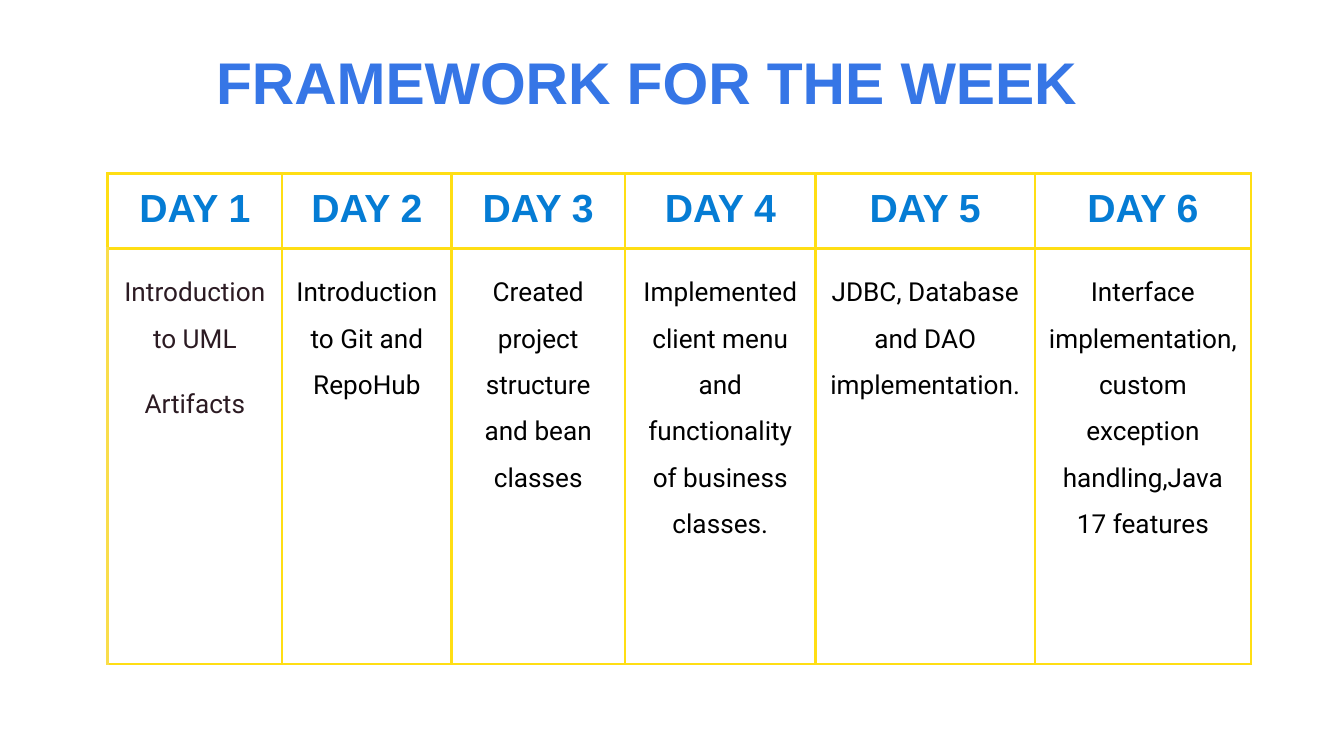
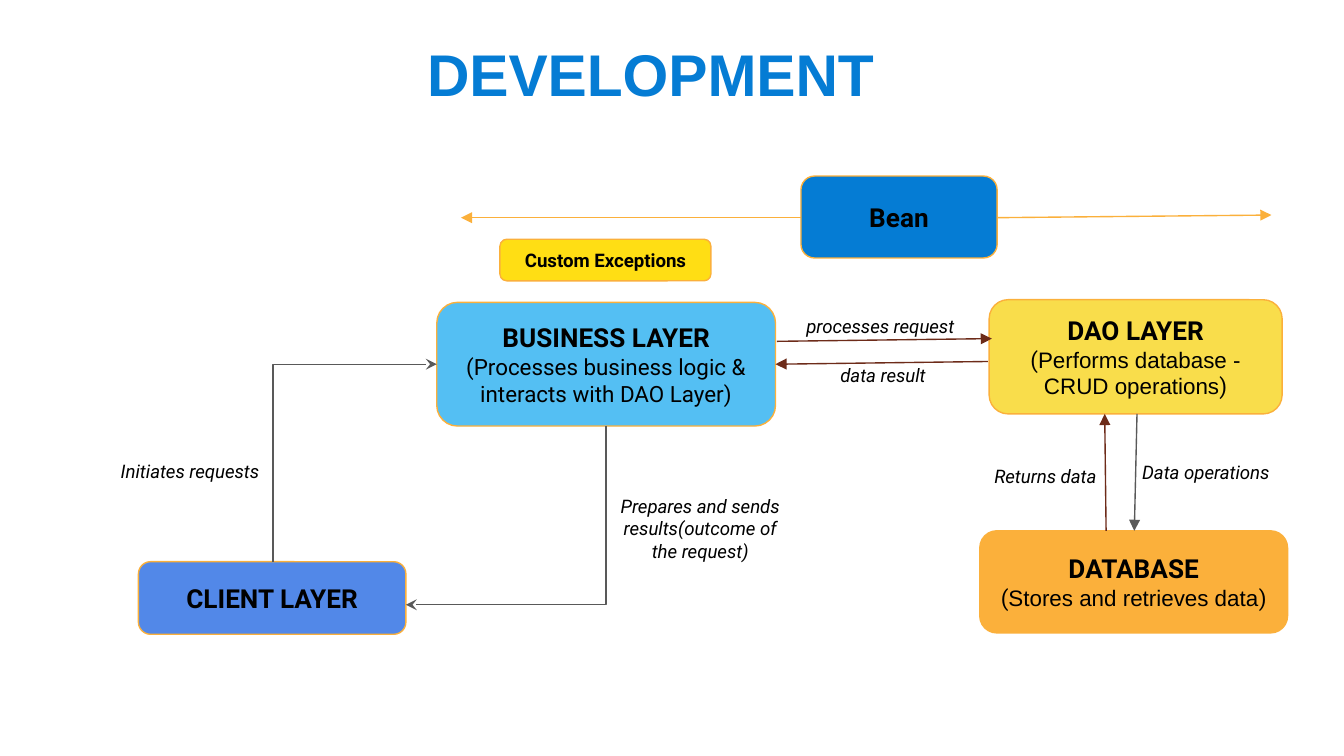
from lxml import etree
from pptx import Presentation
from pptx.dml.color import RGBColor
from pptx.enum.shapes import MSO_CONNECTOR, MSO_SHAPE
from pptx.enum.text import MSO_ANCHOR, MSO_AUTO_SIZE, PP_ALIGN
from pptx.oxml.ns import qn
from pptx.util import Inches, Pt

STRAIGHT, ELBOW = MSO_CONNECTOR.STRAIGHT, MSO_CONNECTOR.ELBOW
ROUNDED = MSO_SHAPE.ROUNDED_RECTANGLE
TOP, MIDDLE = MSO_ANCHOR.TOP, MSO_ANCHOR.MIDDLE
LEFT, CENTER = PP_ALIGN.LEFT, PP_ALIGN.CENTER
NO_AUTOFIT = MSO_AUTO_SIZE.NONE

BLACK = RGBColor(0x00, 0x00, 0x00)
PLUM = RGBColor(0x2C, 0x1B, 0x23)
GRAY = RGBColor(0x59, 0x59, 0x59)
BROWN = RGBColor(0x6D, 0x2B, 0x19)
ROYAL = RGBColor(0x36, 0x76, 0xE6)
BLUE = RGBColor(0x05, 0x7C, 0xD4)
PERIWINKLE = RGBColor(0x52, 0x88, 0xE8)
SKY = RGBColor(0x54, 0xBF, 0xF3)
ORANGE = RGBColor(0xFB, 0xB0, 0x3B)
YELLOW = RGBColor(0xFF, 0xDE, 0x14)
PALE_YELLOW = RGBColor(0xF9, 0xDD, 0x4B)

HEADING_FONT, BODY_FONT = "Arial", "Roboto"
TITLE_ONLY = 5
SLIDE_WIDTH = 10
SLIDE_HEIGHT = SLIDE_WIDTH * 9 / 16

DAYS = [
    (1.30, ["Introduction to UML", "Artifacts"]),
    (1.26, ["Introduction to Git and RepoHub"]),
    (1.29, ["Created project structure and bean classes"]),
    (1.42, ["Implemented client menu and functionality of business classes."]),
    (1.63, ["JDBC, Database and DAO implementation."]),
    (1.61, ["Interface implementation,custom exception handling,Java 17 features"]),
]

# Box, fill, heading size, heading, detail runs as (text, font)
LAYERS = [
    ((1.03, 4.18, 1.99, 0.54), PERIWINKLE, 14, "CLIENT LAYER", []),
    ((3.25, 2.25, 2.52, 0.92), SKY, 14, "BUSINESS LAYER",
     [("(Processes business logic & interacts with DAO Layer)", BODY_FONT)]),
    ((7.36, 2.23, 2.18, 0.85), PALE_YELLOW, 14, "DAO LAYER",
     [("(", BODY_FONT), ("Performs database - CRUD operations", HEADING_FONT),
      (")", BODY_FONT)]),
    ((7.29, 3.95, 2.29, 0.76), ORANGE, 14, "DATABASE",
     [("(", BODY_FONT), ("Stores and retrieves data", HEADING_FONT),
      (")", BODY_FONT)]),
    ((5.96, 1.31, 1.46, 0.61), BLUE, 14, "Bean", []),
    ((3.72, 1.78, 1.57, 0.31), YELLOW, 10, "Custom Exceptions", []),
]

ARROWS = [
    ((5.78, 2.54), (7.38, 2.52), BROWN),
    ((7.35, 2.69), (5.77, 2.71), BROWN),
    ((5.96, 1.62), (3.43, 1.62), ORANGE),
    ((7.42, 1.62), (9.46, 1.60), ORANGE),
    ((8.46, 3.08), (8.44, 3.95), GRAY),
    ((8.23, 3.95), (8.22, 3.08), BROWN),
]

BENT_ARROWS = [
    ((2.03, 4.18), (3.25, 2.71)),
    ((4.51, 3.17), (3.02, 4.50)),
]

FLOW_LABELS = [
    ((0.80, 3.32, 1.31, 0.37), "Initiates requests", LEFT),
    ((6.07, 2.61, 1.00, 0.37), "data result", CENTER),
    ((5.82, 2.24, 1.46, 0.39), "processes request", CENTER),
    ((8.40, 3.33, 1.25, 0.39), "Data operations", LEFT),
    ((7.30, 3.36, 1.00, 0.39), "Returns data", LEFT),
    ((4.48, 3.58, 1.46, 0.71),
     "Prepares and sends results(outcome of the request)", CENTER),
]


def add_text(paragraph, text, *, size, color=BLACK, font=BODY_FONT,
             bold=False, italic=False, align=CENTER):
    paragraph.alignment = align
    run = paragraph.add_run()
    run.text = text
    run.font.name = font
    run.font.size = Pt(size)
    run.font.color.rgb = color
    run.font.bold = bold
    run.font.italic = italic


def inches(values):
    return [Inches(value) for value in values]


def prepare_frame(frame, anchor):
    frame.word_wrap = True
    frame.auto_size = NO_AUTOFIT
    frame.vertical_anchor = anchor
    frame.margin_left = frame.margin_right = Inches(0.1)
    frame.margin_top = frame.margin_bottom = Inches(0.1)


def set_cell_borders(cell, left_color):
    properties = cell._tc.get_or_add_tcPr()
    for side in ("L", "R", "T", "B"):
        border = etree.SubElement(properties, qn(f"a:ln{side}"), w=str(Pt(1.5)))
        fill = etree.SubElement(border, qn("a:solidFill"))
        color = left_color if side == "L" else YELLOW
        etree.SubElement(fill, qn("a:srgbClr"), val=str(color))


class Deck:
    def __init__(self):
        self.presentation = Presentation()
        self.presentation.slide_width = Inches(SLIDE_WIDTH)
        self.presentation.slide_height = Inches(SLIDE_HEIGHT)
        self.slide = None

    def start_slide(self, title, box, color, indent=0.1):
        layout = self.presentation.slide_layouts[TITLE_ONLY]
        self.slide = self.presentation.slides.add_slide(layout)
        heading = self.slide.shapes.title
        heading.left, heading.top, heading.width, heading.height = inches(box)
        frame = heading.text_frame
        prepare_frame(frame, TOP)
        frame.margin_left = Inches(indent)
        add_text(frame.paragraphs[0], title, size=31.5, color=color,
                 font=HEADING_FONT, bold=True)

    def add_schedule(self, left, top, row_heights, days):
        width = sum(day_width for day_width, _ in days)
        table = self.slide.shapes.add_table(
            len(row_heights), len(days),
            *inches((left, top, width, sum(row_heights)))).table
        table.first_row = table.horz_banding = False
        for row, height in zip(table.rows, row_heights):
            row.height = Inches(height)
        for index, (day_width, topics) in enumerate(days):
            table.columns[index].width = Inches(day_width)
            header, body = table.cell(0, index), table.cell(1, index)
            for cell in (header, body):
                first_body = cell is body and index == 0
                set_cell_borders(cell, PALE_YELLOW if first_body else YELLOW)
                cell.fill.background()
                cell.margin_left = cell.margin_right = Inches(0.1)
                cell.margin_top = cell.margin_bottom = Inches(0.1)
            add_text(header.text_frame.paragraphs[0], f"DAY {index + 1}",
                     size=21, color=BLUE, font=HEADING_FONT, bold=True)
            for number, topic in enumerate(topics):
                frame = body.text_frame
                paragraph = frame.add_paragraph() if number else frame.paragraphs[0]
                paragraph.line_spacing = 1.5
                if number:
                    paragraph.space_before = Pt(10)
                add_text(paragraph, topic, size=14,
                         color=BLACK if index else PLUM)

    def add_layer(self, box, fill, size, heading, details):
        layer = self.slide.shapes.add_shape(ROUNDED, *inches(box))
        layer.shadow.inherit = False
        layer.fill.solid()
        layer.fill.fore_color.rgb = fill
        layer.line.color.rgb = ORANGE
        layer.line.width = Pt(0.75)
        frame = layer.text_frame
        prepare_frame(frame, MIDDLE)
        add_text(frame.paragraphs[0], heading, size=size, bold=True)
        if details:
            paragraph = frame.add_paragraph()
            for text, font in details:
                add_text(paragraph, text, size=12, font=font)

    def add_label(self, box, text, align):
        frame = self.slide.shapes.add_textbox(*inches(box)).text_frame
        prepare_frame(frame, TOP)
        add_text(frame.paragraphs[0], text, size=10, italic=True, align=align)

    def add_arrow(self, start, end, color, kind=STRAIGHT, head="triangle"):
        arrow = self.slide.shapes.add_connector(kind, *inches(start + end))
        arrow.line.color.rgb = color
        arrow.line.width = Pt(0.75)
        etree.SubElement(arrow.line._get_or_add_ln(), qn("a:tailEnd"), type=head)
        etree.SubElement(arrow._element.spPr, qn("a:effectLst"))
        return arrow

    def add_bent_arrow(self, start, end):
        """Draw an arrow that runs vertically first, then turns once."""
        (x1, y1), (x2, y2) = start, end
        center_x, center_y = (x1 + x2) / 2, (y1 + y2) / 2
        # The outline is turned a quarter, so its sides swap.
        half_width, half_height = abs(y2 - y1) / 2, abs(x2 - x1) / 2
        arrow = self.add_arrow(
            (center_x - half_width, center_y - half_height),
            (center_x + half_width, center_y + half_height),
            GRAY, ELBOW, "stealth")
        properties = arrow._element.spPr
        properties.find(qn("a:prstGeom")).set("prst", "bentConnector2")
        turn = 270 if y2 < y1 else 90
        properties.find(qn("a:xfrm")).set("rot", str(turn * 60000))


def main():
    deck = Deck()

    deck.start_slide("FRAMEWORK FOR THE WEEK", (0.95, 0.24, 7.72, 1.17), ROYAL)
    deck.add_schedule(0.8, 1.29, (0.56, 3.09), DAYS)

    deck.start_slide("DEVELOPMENT", (0, 0.18, 8.36, 1.17), BLUE, indent=1.42)
    for layer in LAYERS:
        deck.add_layer(*layer)
    for arrow in ARROWS:
        deck.add_arrow(*arrow)
    for bent_arrow in BENT_ARROWS:
        deck.add_bent_arrow(*bent_arrow)
    for label in FLOW_LABELS:
        deck.add_label(*label)

    deck.presentation.save("out.pptx")


if __name__ == "__main__":
    main()
